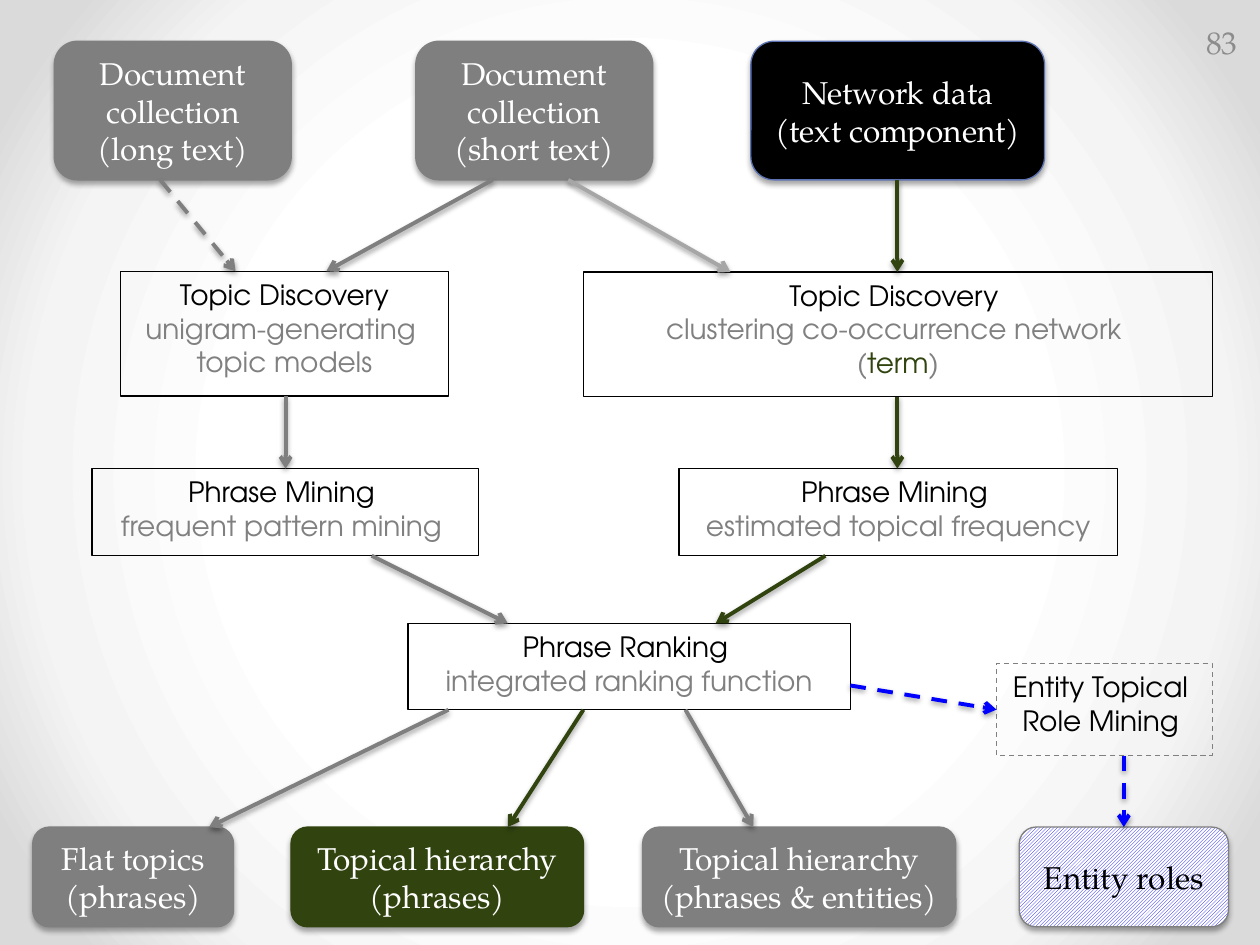
"""Draw the flow from document collections to topical phrases and entity roles."""
from pptx import Presentation
from pptx.dml.color import RGBColor
from pptx.enum.dml import MSO_LINE, MSO_PATTERN
from pptx.enum.shapes import MSO_CONNECTOR, MSO_SHAPE
from pptx.enum.text import MSO_ANCHOR, PP_ALIGN
from pptx.oxml import parse_xml
from pptx.oxml.ns import nsdecls, qn
from pptx.util import Pt

RECTANGLE, ROUNDED = MSO_SHAPE.RECTANGLE, MSO_SHAPE.ROUNDED_RECTANGLE
STRAIGHT, DASH = MSO_CONNECTOR.STRAIGHT, MSO_LINE.DASH
HATCH = MSO_PATTERN.LIGHT_UPWARD_DIAGONAL
TOP, MIDDLE = MSO_ANCHOR.TOP, MSO_ANCHOR.MIDDLE
CENTER, RIGHT = PP_ALIGN.CENTER, PP_ALIGN.RIGHT
BLACK, WHITE, BLUE = "000000", "FFFFFF", "0000FF"
GRAY, TEXT_GRAY, LIGHT_GRAY, GREEN = "7F7F7F", "808080", "A6A6A6", "314410"
STEP_FONT = {"name": "TeX Gyre Adventor", "size": Pt(16)}
DATA_FONT = {"name": "TeX Gyre Pagella", "size": Pt(18)}
BACKGROUND_STOPS = [(50, "FFFFFF"), (76, "F4F4F4"), (92, "DADADA")]

STEPS = {
    "unigram": ((69, 155, 187.2, 71.3), [
        [("Topic Discovery ", BLACK), ("unigram-generating ", TEXT_GRAY)],
        [("topic models", TEXT_GRAY)]]),
    "network topics": ((333.4, 155.4, 359.3, 71.3), [
        [("Topic Discovery ", BLACK)],
        [("clustering co-occurrence network ", TEXT_GRAY)],
        [("(", TEXT_GRAY), ("term", GREEN), (")", TEXT_GRAY)]]),
    "patterns": ((52.6, 267.8, 221, 49.8), [
        [("Phrase Mining ", BLACK)], [("frequent pattern mining ", TEXT_GRAY)]]),
    "frequency": ((388, 267.8, 250.6, 49.8), [
        [("Phrase Mining ", BLACK)], [("estimated topical frequency", TEXT_GRAY)]]),
    "ranking": ((233.2, 356.2, 252.7, 49.4), [
        [("Phrase Ranking ", BLACK)], [("integrated ranking function", TEXT_GRAY)]]),
    "role mining": ((569.4, 379.2, 123.4, 52.6), [
        [("Entity Topical ", BLACK)], [("Role Mining ", BLACK)]]),
}
INPUT_TOP, INPUT_HEIGHT = 23.6, 79.2
OUTPUT_TOP, OUTPUT_HEIGHT = 472.6, 57
INPUTS = {
    "long text": (31, 135.4, GRAY, GRAY, ["Document collection (long text)"]),
    "short text": (237.6, 135.4, GRAY, GRAY, ["Document collection (short text)"]),
    "network": (429.1, 167.8, BLACK, "5C72B2", ["Network data (text component)"]),
}
OUTPUTS = {
    "flat": (18.7, 114.8, GRAY, GRAY, ["Flat topics", "(phrases)"]),
    "phrases": (166.3, 167.2, GREEN, GREEN, ["Topical hierarchy", "(phrases)"]),
    "entities": (367.2, 179, GRAY, GRAY, ["Topical hierarchy", "(phrases & entities)"]),
    "roles": (582.5, 119.5, None, GRAY, ["Entity roles"]),
}
ARROWS = [
    ("long text", 91.6, "unigram", 134.6, GRAY, True),
    ("short text", 281.5, "unigram", 186.5, GRAY, False),
    ("short text", 324.7, "network topics", 417.4, LIGHT_GRAY, False),
    ("network", 512.8, "network topics", 512.8, GREEN, False),
    ("unigram", 163.2, "patterns", 163.2, GRAY, False),
    ("network topics", 512.8, "frequency", 512.8, GREEN, False),
    ("patterns", 212.4, "ranking", 290.2, GRAY, False),
    ("frequency", 471.6, "ranking", 409, GREEN, False),
    ("ranking", 256.3, "flat", 119.5, GRAY, False),
    ("ranking", 333.4, "phrases", 290.2, GREEN, False),
    ("ranking", 391.7, "entities", 430.4, GRAY, False),
    ("role mining", 642.2, "roles", 642.2, BLUE, True),
]
SIDE_ARROW = ((485.9, 391.7), (569.4, 405.5))


def color(value):
    return RGBColor.from_string(value)


def set_background(slide):
    stops = "".join(f'<a:gs pos="{position * 1000}"><a:srgbClr val="{value}"/></a:gs>'
                    for position, value in BACKGROUND_STOPS)
    slide.element.cSld.insert(0, parse_xml(
        f'<p:bg {nsdecls("p", "a")}><p:bgPr><a:gradFill rotWithShape="1">'
        f'<a:gsLst>{stops}</a:gsLst><a:path path="circle">'
        '<a:fillToRect l="50000" t="50000" r="50000" b="50000"/></a:path>'
        '</a:gradFill><a:effectLst/></p:bgPr></p:bg>'))


def add_shadow(shape, opacity, distance):
    shape.element.spPr.append(parse_xml(
        f'<a:effectLst {nsdecls("a")}><a:outerShdw blurRad="{Pt(3.15)}" '
        f'dist="{Pt(distance)}" dir="5400000" rotWithShape="0"><a:srgbClr val="000000">'
        f'<a:alpha val="{opacity * 1000}"/></a:srgbClr></a:outerShdw></a:effectLst>'))


def set_line(shape, value, width, dashed=False):
    shape.line.color.rgb = color(value)
    shape.line.width = Pt(width)
    if dashed:
        shape.line.dash_style = DASH


def write(shape, paragraphs, font, anchor, alignment=CENTER):
    frame = shape.text_frame
    frame.word_wrap = True
    frame.vertical_anchor = anchor
    for index, runs in enumerate(paragraphs):
        paragraph = frame.add_paragraph() if index else frame.paragraphs[0]
        paragraph.alignment = alignment
        for text, value in runs:
            run = paragraph.add_run()
            run.text = text
            for name, setting in font.items():
                setattr(run.font, name, setting)
            run.font.color.rgb = color(value)


def add_step(slide, bounds, paragraphs, dashed):
    shape = slide.shapes.add_shape(RECTANGLE, *map(Pt, bounds))
    shape.fill.background()
    set_line(shape, TEXT_GRAY if dashed else BLACK, 0.75, dashed)
    shape.shadow.inherit = False
    write(shape, paragraphs, STEP_FONT, TOP)


def add_data(slide, bounds, fill, outline, lines):
    shape = slide.shapes.add_shape(ROUNDED, *map(Pt, bounds))
    if fill:
        shape.fill.solid()
        shape.fill.fore_color.rgb = color(fill)
    else:
        shape.fill.patterned()
        shape.fill.pattern = HATCH
        shape.fill.fore_color.rgb = color(BLUE)
        shape.fill.back_color.rgb = color(WHITE)
    set_line(shape, outline, 0.75)
    add_shadow(shape, 35, 1.8)
    write(shape, [[(line, WHITE if fill else BLACK)] for line in lines], DATA_FONT, MIDDLE)


def add_arrow(slide, start, end, value, dashed):
    connector = slide.shapes.add_connector(STRAIGHT, *map(Pt, start + end))
    set_line(connector, value, 2.25, dashed)
    connector.element.spPr.find(qn("a:ln")).append(
        parse_xml(f'<a:tailEnd {nsdecls("a")} type="arrow"/>'))
    add_shadow(connector, 38, 1.6)


def main():
    presentation = Presentation()
    presentation.slide_width, presentation.slide_height = Pt(720), Pt(540)
    slide = presentation.slides.add_slide(presentation.slide_layouts[6])
    set_background(slide)
    places = {}
    for name, (bounds, paragraphs) in STEPS.items():
        places[name] = bounds
        add_step(slide, bounds, paragraphs, name == "role mining")
    for row, top, height in ((INPUTS, INPUT_TOP, INPUT_HEIGHT),
                             (OUTPUTS, OUTPUT_TOP, OUTPUT_HEIGHT)):
        for name, (left, width, fill, outline, lines) in row.items():
            places[name] = (left, top, width, height)
            add_data(slide, places[name], fill, outline, lines)
    for source, start_x, target, end_x, value, dashed in ARROWS:
        bottom = places[source][1] + places[source][3]
        add_arrow(slide, (start_x, bottom), (end_x, places[target][1]), value, dashed)
    add_arrow(slide, *SIDE_ARROW, BLUE, True)
    number = slide.shapes.add_textbox(*map(Pt, (670.3, 9.4, 43.9, 28.8)))
    write(number, [[("83", "8C8C8C")]], DATA_FONT, MIDDLE, RIGHT)
    presentation.save("out.pptx")


if __name__ == "__main__":
    main()
